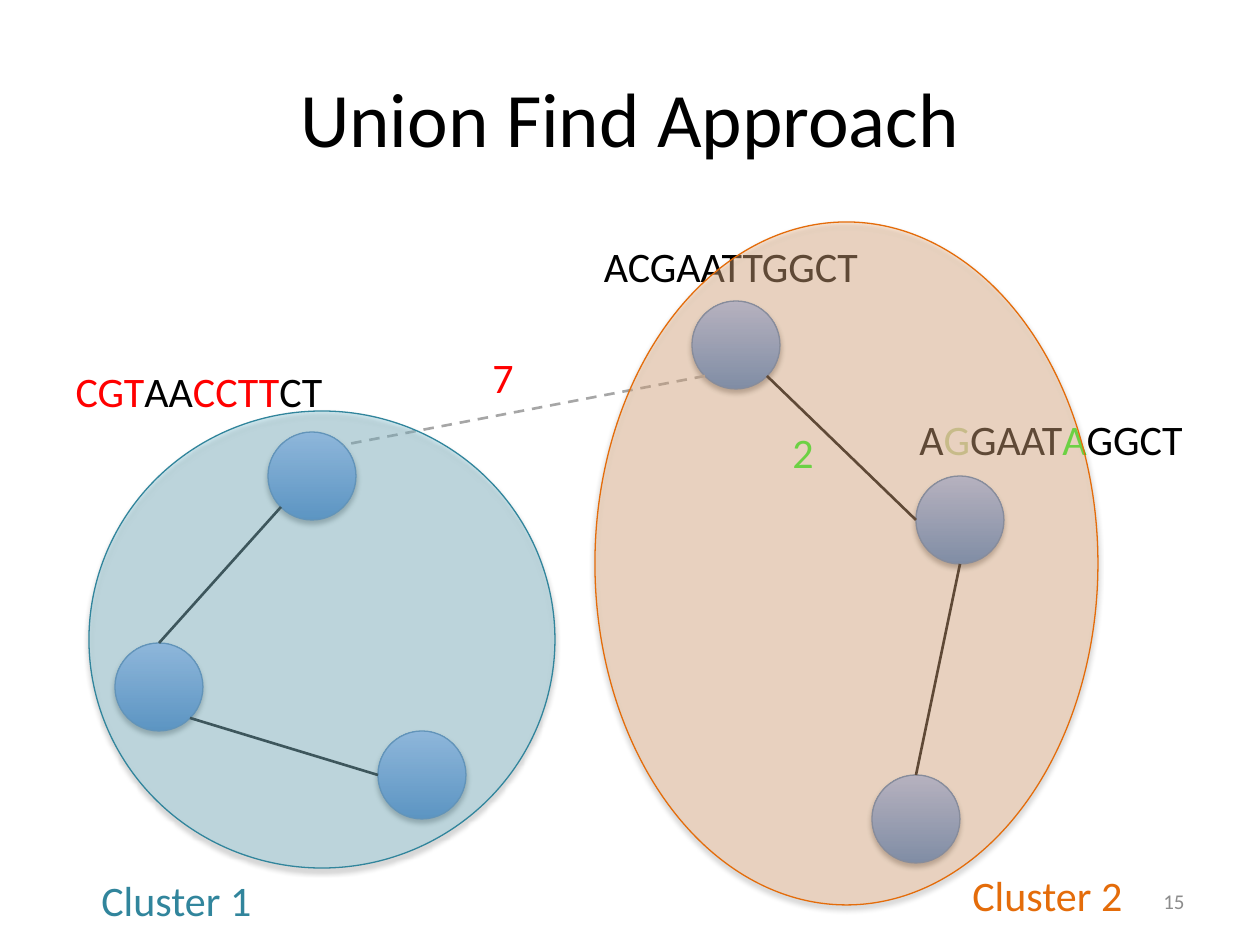
from dataclasses import dataclass

from lxml import etree
from pptx import Presentation
from pptx.dml.color import RGBColor
from pptx.enum.dml import MSO_LINE
from pptx.enum.shapes import MSO_CONNECTOR, MSO_SHAPE
from pptx.enum.text import MSO_ANCHOR, PP_ALIGN
from pptx.oxml.ns import qn
from pptx.util import Emu, Pt

OVAL, STRAIGHT, DASH = MSO_SHAPE.OVAL, MSO_CONNECTOR.STRAIGHT, MSO_LINE.DASH
LEFT, CENTER, RIGHT = PP_ALIGN.LEFT, PP_ALIGN.CENTER, PP_ALIGN.RIGHT
TOP, MIDDLE = MSO_ANCHOR.TOP, MSO_ANCHOR.MIDDLE
PX_PER_INCH = 126
NODE = 88
DIAGONAL = 31
SITES = {
    "top": (0, -NODE // 2),
    "left": (-NODE // 2, 0),
    "bottom": (0, NODE // 2),
    "top right": (DIAGONAL, -DIAGONAL),
    "bottom left": (-DIAGONAL, DIAGONAL),
    "bottom right": (DIAGONAL, DIAGONAL),
}


@dataclass(frozen=True)
class Theme:
    """Colours, font and type sizes of the slide."""
    font: str = "Calibri"
    title_size: int = 44
    label_size: int = 24
    number_size: int = 12
    ink: str = "000000"
    muted: str = "8C8C8C"
    far: str = "A6A6A6"
    differs: str = "FF0000"
    close: str = "1AFF1A"
    pale: str = "C3D69B"
    node_dark: str = "3F80CE"
    node_light: str = "A4C4FF"
    node_line: str = "4B7EBC"
    teal: str = "31859C"
    teal_fill: str = "93CDDD"
    orange: str = "E46C0A"
    orange_fill: str = "FAC090"


def px(length):
    """Turn px into EMU."""
    return Emu(round(length * 914400 / PX_PER_INCH))


def rgb(colour):
    """Turn a hex string into a colour."""
    return RGBColor.from_string(colour)


class Canvas:
    """Draws styled elements on one slide."""

    def __init__(self, slide, theme):
        """Keep the slide and its theme."""
        self.slide = slide
        self.theme = theme

    def text(self, box, parts, size, align=LEFT, anchor=TOP):
        """Add one paragraph made of (wording, colour) parts."""
        frame = self.slide.shapes.add_textbox(*map(px, box)).text_frame
        frame.word_wrap = True
        frame.vertical_anchor = anchor
        paragraph = frame.paragraphs[0]
        paragraph.alignment = align
        paragraph.font.name = self.theme.font
        paragraph.font.size = Pt(size)
        if len(parts) == 1:
            paragraph.font.color.rgb = rgb(parts[0][1])
        for wording, colour in parts:
            run = paragraph.add_run()
            run.text = wording
            if len(parts) > 1:
                run.font.color.rgb = rgb(colour)

    def oval(self, box, outline):
        """Add an outlined ellipse with a soft shadow below it."""
        oval = self.slide.shapes.add_shape(OVAL, *map(px, box))
        oval.line.color.rgb = rgb(outline)
        oval.line.width = Pt(0.75)
        oval.shadow.inherit = False
        effects = oval._element.spPr.find(qn("a:effectLst"))
        shadow = etree.SubElement(
            effects, qn("a:outerShdw"), blurRad=str(Pt(3.1)), dist=str(Pt(1.8)),
            dir="5400000", rotWithShape="0")
        black = etree.SubElement(shadow, qn("a:srgbClr"), val=self.theme.ink)
        etree.SubElement(black, qn("a:alpha"), val="35000")
        return oval

    def node(self, center):
        """Add a graph node around its center."""
        x, y = center
        box = (x - NODE // 2, y - NODE // 2, NODE, NODE)
        fill = self.oval(box, self.theme.node_line).fill
        fill.gradient()
        fill.gradient_angle = 90
        colours = (self.theme.node_dark, self.theme.node_light)
        for stop, colour, position in zip(fill.gradient_stops, colours, (0, 1)):
            stop.color.rgb = rgb(colour)
            stop.position = position

    def cluster(self, box, outline, colour, opacity):
        """Add a see-through cluster ellipse."""
        cluster = self.oval(box, outline)
        cluster.fill.solid()
        cluster.fill.fore_color.rgb = rgb(colour)
        tint = cluster._element.spPr.find(qn("a:solidFill"))[0]
        etree.SubElement(tint, qn("a:alpha"), val=str(opacity * 1000))

    def edge(self, start, start_site, end, end_site, colour, dash=None):
        """Join sites on the rims of two nodes."""
        points = [center + offset
                  for node, site in ((start, start_site), (end, end_site))
                  for center, offset in zip(node, SITES[site])]
        edge = self.slide.shapes.add_connector(STRAIGHT, *map(px, points))
        edge.line.color.rgb = rgb(colour)
        edge.line.width = Pt(1.5)
        if dash:
            edge.line.dash_style = dash
        etree.SubElement(edge._element.spPr, qn("a:effectLst"))


def main():
    """Build the slide and save it."""
    deck = Presentation()
    deck.slide_width, deck.slide_height = px(1260), px(945)
    theme = Theme()
    canvas = Canvas(deck.slides.add_slide(deck.slide_layouts[6]), theme)
    ink, red, green = theme.ink, theme.differs, theme.close

    canvas.text((63, 38, 1134, 158), [("Union Find Approach", ink)],
                theme.title_size, CENTER, MIDDLE)

    teal_top, teal_left, teal_right = (312, 476), (159, 687), (422, 775)
    orange_top, orange_right, orange_bottom = (736, 345), (960, 520), (916, 819)
    for center in (teal_top, teal_left, teal_right,
                   orange_top, orange_right, orange_bottom):
        canvas.node(center)

    sequences = [
        (552, 234, [("ACGAATTGGCT", ink)]),
        (872, 407, [("A", ink), ("G", theme.pale), ("GAAT", ink),
                    ("A", green), ("GGCT", ink)]),
        (20, 359, [("CGT", red), ("AA", ink), ("CCTT", red), ("CT", ink)]),
    ]
    for x, y, parts in sequences:
        canvas.text((x, y, 358, 63), parts, theme.label_size, CENTER)
    canvas.text((780, 420, 48, 63), [("2", green)], theme.label_size)
    canvas.text((480, 345, 68, 63), [("7", red)], theme.label_size)

    canvas.edge(orange_top, "bottom left", teal_top, "top right", theme.far, DASH)
    for joint in (
        (orange_top, "bottom right", orange_right, "left"),
        (orange_right, "bottom", orange_bottom, "top"),
        (teal_left, "top", teal_top, "bottom left"),
        (teal_right, "left", teal_left, "bottom right"),
    ):
        canvas.edge(*joint, ink)

    clusters = [
        ("Cluster 1", (89, 411, 466, 457), (89, 868, 339, 63),
         theme.teal, theme.teal_fill, 42),
        ("Cluster 2", (595, 222, 503, 683), (960, 863, 300, 63),
         theme.orange, theme.orange_fill, 38),
    ]
    for name, area, caption, outline, colour, opacity in clusters:
        canvas.cluster(area, outline, colour, opacity)
        canvas.text(caption, [(name, outline)], theme.label_size)

    canvas.text((903, 876, 294, 50), [("15", theme.muted)],
                theme.number_size, RIGHT, MIDDLE)
    deck.save("out.pptx")


if __name__ == "__main__":
    main()
